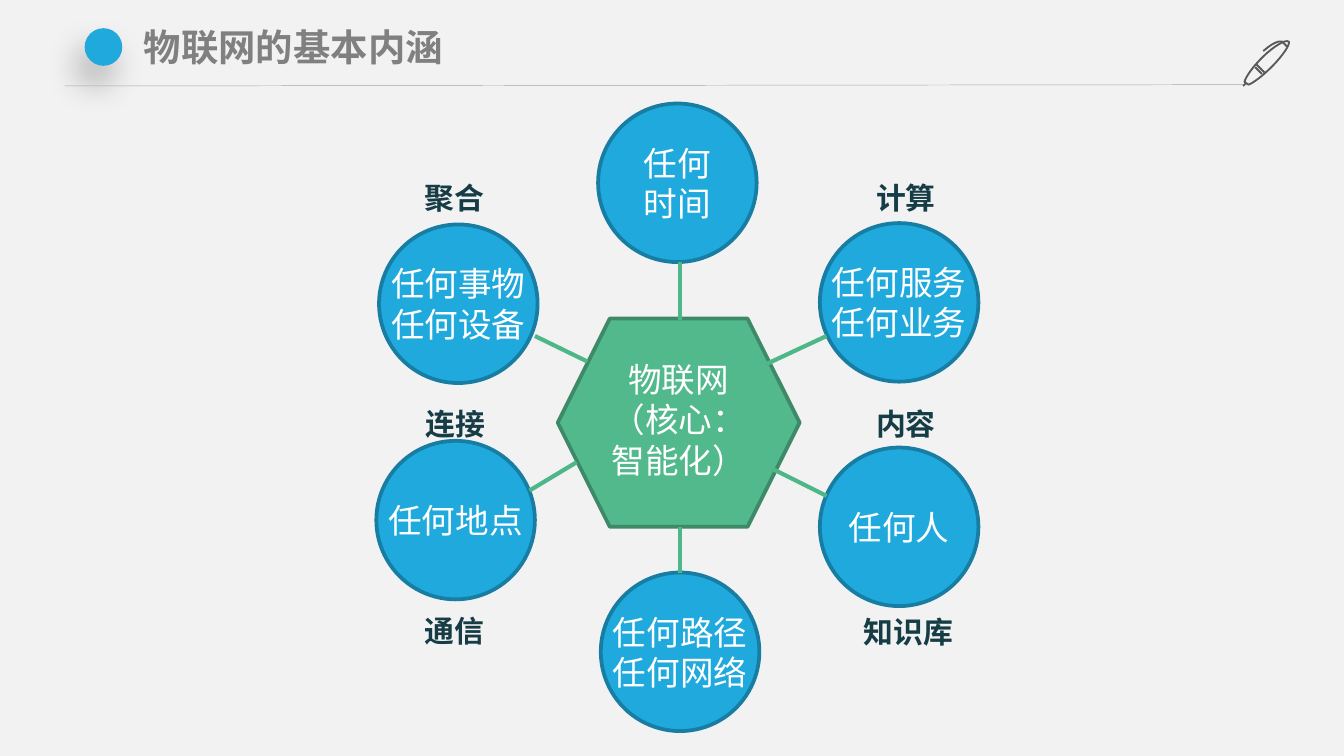
import pptx
import pptx.util
import pptx.dml.color
import pptx.enum.shapes
import pptx.enum.text
import pptx.oxml
import pptx.oxml.ns

Inches, Pt = pptx.util.Inches, pptx.util.Pt
RGB = pptx.dml.color.RGBColor.from_string
SHAPE = pptx.enum.shapes.MSO_SHAPE
STRAIGHT = pptx.enum.shapes.MSO_CONNECTOR.STRAIGHT
ALIGN = pptx.enum.text.PP_ALIGN
ANCHOR = pptx.enum.text.MSO_ANCHOR
AUTO = pptx.enum.text.MSO_AUTO_SIZE
FONT = "Noto Sans CJK SC"
NS = pptx.oxml.ns.nsdecls("a")
COLORS = {
    "background": "F2F2F2", "rule": "A6A6A6", "pen": "595959",
    "circle": "20A9DD", "circle_line": "187DA3",
    "hexagon": "52B98C", "hexagon_line": "3D8968", "spoke": "4EB789",
    "label": "163C46", "title": "808080", "white": "FFFFFF",
}


def write(tf, lines, size, color, bold=False, align=ALIGN.LEFT):
    for i, line in enumerate(lines):
        p = tf.paragraphs[0] if i == 0 else tf.add_paragraph()
        p.alignment = align
        r = p.add_run()
        r.text = line
        r.font.size, r.font.bold, r.font.name = Pt(size), bold, FONT
        r.font.color.rgb = RGB(COLORS[color])
        r.font._element.append(pptx.oxml.parse_xml(f'<a:ea {NS} typeface="{FONT}"/>'))


def bezier(a, b, c, d, steps=8):
    """Points on a cubic curve, ends included."""
    points = []
    for i in range(steps + 1):
        t = i / steps
        u = 1 - t
        points.append(tuple(u**3 * a[k] + 3 * u * u * t * b[k] + 3 * u * t * t * c[k] + t**3 * d[k]
                            for k in (0, 1)))
    return points


prs = pptx.Presentation()
prs.slide_width, prs.slide_height = Inches(10), Inches(10) * 9 // 16
s = prs.slides.add_slide(prs.slide_layouts[5])
s.background.fill.solid()
s.background.fill.fore_color.rgb = RGB(COLORS["background"])

# Title
title = s.shapes.title
title.left, title.top, title.width, title.height = map(Inches, (0.98, 0.14, 8.27, 0.43))
tf = title.text_frame
tf.word_wrap, tf.auto_size, tf.vertical_anchor = True, AUTO.NONE, ANCHOR.TOP
tf.margin_left = tf.margin_right = Inches(0.09)
tf.margin_top = tf.margin_bottom = Inches(0.04)
write(tf, ["物联网的基本内涵"], 20, "title", bold=True)

# Header pen
pen_body = (
    bezier((9.59, 0.31), (9.57, 0.29), (9.48, 0.34), (9.39, 0.43))
    + bezier((9.39, 0.43), (9.32, 0.5), (9.27, 0.57), (9.26, 0.61))
    + [(9.29, 0.63)]
    + bezier((9.29, 0.63), (9.32, 0.62), (9.39, 0.57), (9.46, 0.5))
    + bezier((9.46, 0.5), (9.55, 0.41), (9.6, 0.33), (9.59, 0.31))
)
pen_clip = [(9.58, 0.35)] + bezier((9.54, 0.31), (9.54, 0.31), (9.5, 0.29), (9.4, 0.38))
strokes = [pen_body, [(9.39, 0.55), (9.34, 0.5)], [(9.35, 0.48), (9.41, 0.54)],
           [(9.27, 0.62), (9.25, 0.64)], pen_clip]
builder = s.shapes.build_freeform(*map(Inches, pen_body[0]))
for i, stroke in enumerate(strokes):
    points = [(Inches(x), Inches(y)) for x, y in stroke]
    if i:
        builder.move_to(*points[0])
    builder.add_line_segments(points[1:], close=i == 0)
pen = builder.convert_to_shape()
pen.shadow.inherit = False
pen.fill.background()
pen.line.color.rgb = RGB(COLORS["pen"])
pen.line.width = Pt(1)

# Header dot
dot = s.shapes.add_shape(SHAPE.OVAL, Inches(0.63), Inches(0.21), Inches(0.28), Inches(0.28))
dot.fill.solid()
dot.fill.fore_color.rgb = RGB(COLORS["circle"])
dot.line.fill.background()
dot._element.spPr.append(pptx.oxml.parse_xml(
    f'<a:effectLst {NS}><a:outerShdw blurRad="{Pt(18)}" dist="{Pt(11)}" dir="{113 * 60000}" '
    'algn="t" rotWithShape="0"><a:srgbClr val="000000"><a:alpha val="27000"/></a:srgbClr>'
    '</a:outerShdw></a:effectLst>'))

# Circles around the central hexagon
D = 1.18
nodes = [
    (SHAPE.OVAL, 4.45, 0.77, D, D, "circle", ["任何时间"]),
    (SHAPE.OVAL, 6.1, 1.66, D, D, "circle", ["任何服务", "任何业务"]),
    (SHAPE.OVAL, 4.47, 4.26, D, D, "circle", ["任何路径", "任何网络"]),
    (SHAPE.OVAL, 2.82, 1.67, D, D, "circle", ["任何事物", "任何设备"]),
    (SHAPE.OVAL, 2.8, 3.28, D, D, "circle", ["任何地点"]),
    (SHAPE.OVAL, 6.1, 3.33, D, D, "circle", ["任何人"]),
    (SHAPE.HEXAGON, 4.15, 2.37, 1.8, 1.55, "hexagon", ["物联网", "（核心：智能化）"]),
]
for i, (kind, x, y, w, h, color, lines) in enumerate(nodes):
    sp = s.shapes.add_shape(kind, Inches(x), Inches(y), Inches(w), Inches(h))
    sp.shadow.inherit = False
    sp.fill.solid()
    sp.fill.fore_color.rgb = RGB(COLORS[color])
    sp.line.color.rgb = RGB(COLORS[color + "_line"])
    sp.line.width = Pt(2)
    tf = sp.text_frame
    tf.vertical_anchor = ANCHOR.MIDDLE
    tf.word_wrap = i == 0 or kind == SHAPE.HEXAGON
    if i > 0:
        tf.margin_left = tf.margin_right = tf.margin_top = 0
        tf.margin_bottom = Inches(0.05 if kind == SHAPE.HEXAGON else 0)
    write(tf, lines, 18, "white", align=ALIGN.CENTER)

# Header rule and spokes
lines = [
    (0.48, 0.64, 9.25, 0.63, "rule", 0.25),
    (3.98, 2.5, 4.37, 2.69, "spoke", 2.25),
    (5.06, 1.95, 5.06, 2.38, "spoke", 2.25),
    (5.06, 3.92, 5.06, 4.26, "spoke", 2.25),
    (5.75, 3.49, 6.15, 3.69, "spoke", 2.25),
    (5.7, 2.71, 6.15, 2.5, "spoke", 2.25),
    (3.94, 3.65, 4.29, 3.44, "spoke", 2.25),
]
for x1, y1, x2, y2, color, width in lines:
    line = s.shapes.add_connector(STRAIGHT, Inches(x1), Inches(y1), Inches(x2), Inches(y2))
    line.line.color.rgb = RGB(COLORS[color])
    line.line.width = Pt(width)
    line._element.spPr.append(pptx.oxml.parse_xml(f"<a:effectLst {NS}/>"))

# Labels beside the circles
labels = [
    (6.42, 1.29, 0.74, "计算"), (3.06, 1.29, 0.74, "聚合"), (3.07, 2.97, 0.74, "连接"),
    (6.42, 2.97, 0.74, "内容"), (3.06, 4.51, 0.74, "通信"), (6.33, 4.52, 0.92, "知识库"),
]
for x, y, w, text in labels:
    tf = s.shapes.add_textbox(Inches(x), Inches(y), Inches(w), Inches(0.37)).text_frame
    tf.word_wrap = False
    write(tf, [text], 16, "label", bold=True)

prs.save("out.pptx")
